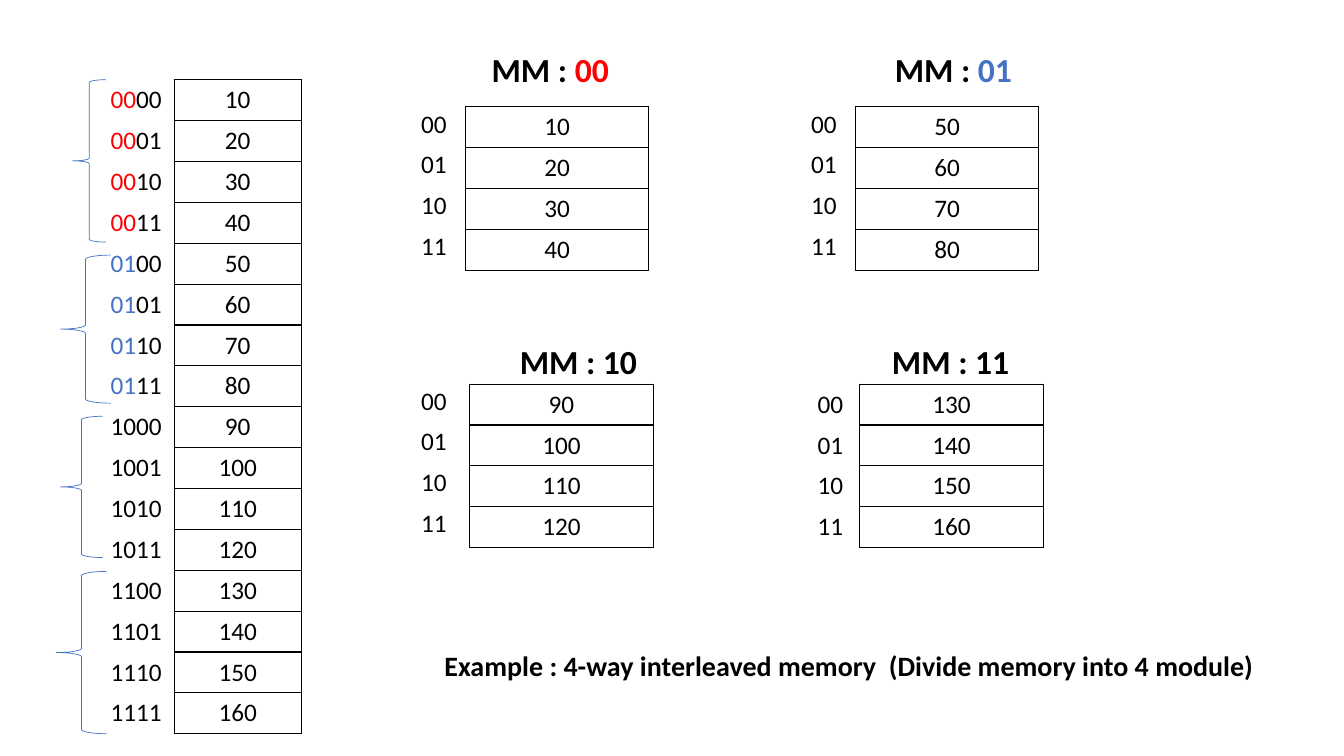
from typing import NamedTuple

from lxml.etree import SubElement
from pptx import Presentation
from pptx.dml.color import RGBColor
from pptx.enum.shapes import MSO_SHAPE
from pptx.enum.text import PP_ALIGN
from pptx.oxml.ns import qn
from pptx.util import Cm, Pt

COLORS = {"black": "000000", "red": "FF0000", "blue": "4472C4"}
FONT = "Calibri"
NO_STYLE = "{2D5ABB26-0587-4C30-8999-92F81FD0307C}"
ROW_HEIGHT = 1.03
MODULE_SIZE = 4


class Run(NamedTuple):
    text: str
    color: str = "black"


class Box(NamedTuple):
    x: float
    y: float
    w: float
    h: float


class Module(NamedTuple):
    bits: str
    color: str
    title_at: tuple[float, float]
    labels_at: tuple[float, float]
    values_at: tuple[float, float]
    brace: Box


MODULES = [
    Module("00", "red", (12.14, 1.12), (10.36, 2.62), (11.73, 2.69), Box(1.83, 2.01, 0.84, 4.09)),
    Module("01", "blue", (22.3, 1.12), (20.19, 2.62), (21.56, 2.69), Box(1.52, 6.43, 1.27, 3.73)),
    Module("10", "black", (12.85, 8.46), (10.36, 9.6), (11.84, 9.68), Box(1.52, 10.49, 1.07, 3.56)),
    Module("11", "black", (22.23, 8.46), (20.35, 9.68), (21.67, 9.68), Box(1.42, 14.4, 1.27, 4.09)),
]


def add_runs(p, runs: list[Run], size: int, bold: bool = False) -> None:
    for run in runs:
        r = p.add_run()
        r.text = run.text
        r.font.name = FONT
        r.font.size = Pt(size)
        r.font.bold = bold
        r.font.color.rgb = RGBColor.from_string(COLORS[run.color])


def add_text(s, box: Box, runs: list[Run], size: int) -> None:
    sp = s.shapes.add_textbox(*map(Cm, box))
    sp.text_frame.word_wrap = True
    add_runs(sp.text_frame.paragraphs[0], runs, size, bold=True)


def add_borders(cell) -> None:
    tc_pr = cell._tc.get_or_add_tcPr()
    for i, side in enumerate(("a:lnL", "a:lnR", "a:lnT", "a:lnB")):
        ln = SubElement(tc_pr, qn(side), w=str(Pt(1)))
        fill = SubElement(ln, qn("a:solidFill"))
        SubElement(fill, qn("a:srgbClr"), val=COLORS["black"])
        tc_pr.insert(i, ln)


def add_column(s, at: tuple[float, float], width: float, rows: list[list[Run]],
               align: PP_ALIGN = PP_ALIGN.CENTER, bordered: bool = False) -> None:
    box = Box(*at, width, ROW_HEIGHT * len(rows))
    frame = s.shapes.add_table(len(rows), 1, *map(Cm, box))
    table = frame.table
    table.first_row = table.horz_banding = False
    for style in frame._element.iter(qn("a:tableStyleId")):
        style.text = NO_STYLE
    for i, runs in enumerate(rows):
        table.rows[i].height = Cm(ROW_HEIGHT)
        cell = table.cell(i, 0)
        cell.fill.background()
        p = cell.text_frame.paragraphs[0]
        p.alignment = align
        add_runs(p, runs, 18)
        if bordered:
            add_borders(cell)


def add_brace(s, box: Box) -> None:
    sp = s.shapes.add_shape(MSO_SHAPE.LEFT_BRACE, *map(Cm, box))
    sp.shadow.inherit = False
    sp.fill.background()
    sp.line.color.rgb = RGBColor.from_string(COLORS["blue"])
    sp.line.width = Pt(0.5)


def main() -> None:
    prs = Presentation()
    prs.slide_width, prs.slide_height = Cm(33.87), Cm(19.05)
    s = prs.slides.add_slide(prs.slide_layouts[6])

    # Whole memory: addresses and contents
    offsets = [f"{i:02b}" for i in range(MODULE_SIZE)]
    addresses = [[Run(m.bits, m.color), Run(offset)] for m in MODULES for offset in offsets]
    values = [[Run(str(10 * (i + 1)))] for i in range(len(addresses))]
    add_column(s, (1.83, 2.01), 3.2, addresses)
    add_column(s, (4.39, 2.01), 3.2, values, bordered=True)

    # The four modules, each with its brace on the whole memory
    for i, m in enumerate(MODULES):
        start = i * MODULE_SIZE
        add_column(s, m.values_at, 4.62, values[start:start + MODULE_SIZE], bordered=True)
        add_column(s, m.labels_at, 1.96, [[Run(offset)] for offset in offsets], PP_ALIGN.LEFT)
        add_text(s, Box(*m.title_at, 3.51, 1.27), [Run("MM : "), Run(m.bits, m.color)], 24)
        add_brace(s, m.brace)

    # Caption
    caption = "Example : 4-way interleaved memory  (Divide memory into 4 module)"
    add_text(s, Box(10.95, 16.21, 21.23, 1.12), [Run(caption)], 20)

    prs.save("out.pptx")


if __name__ == "__main__":
    main()
